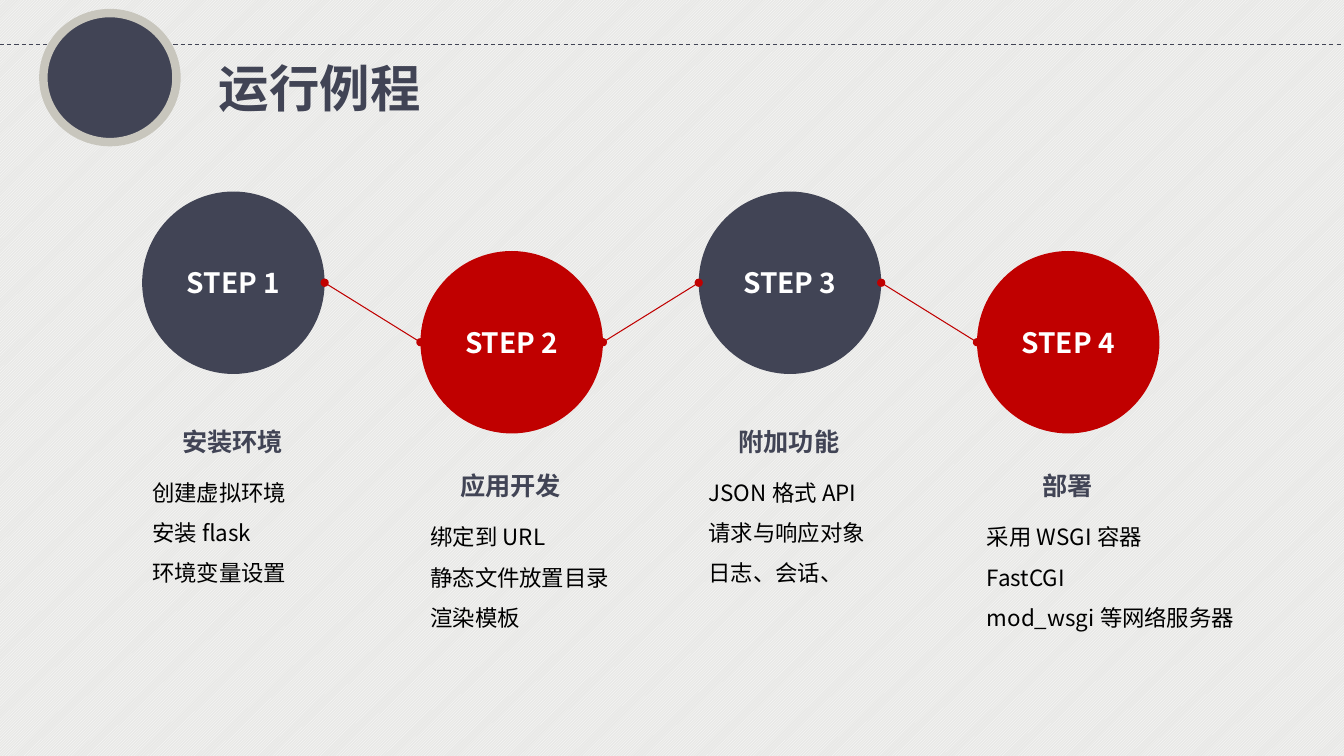
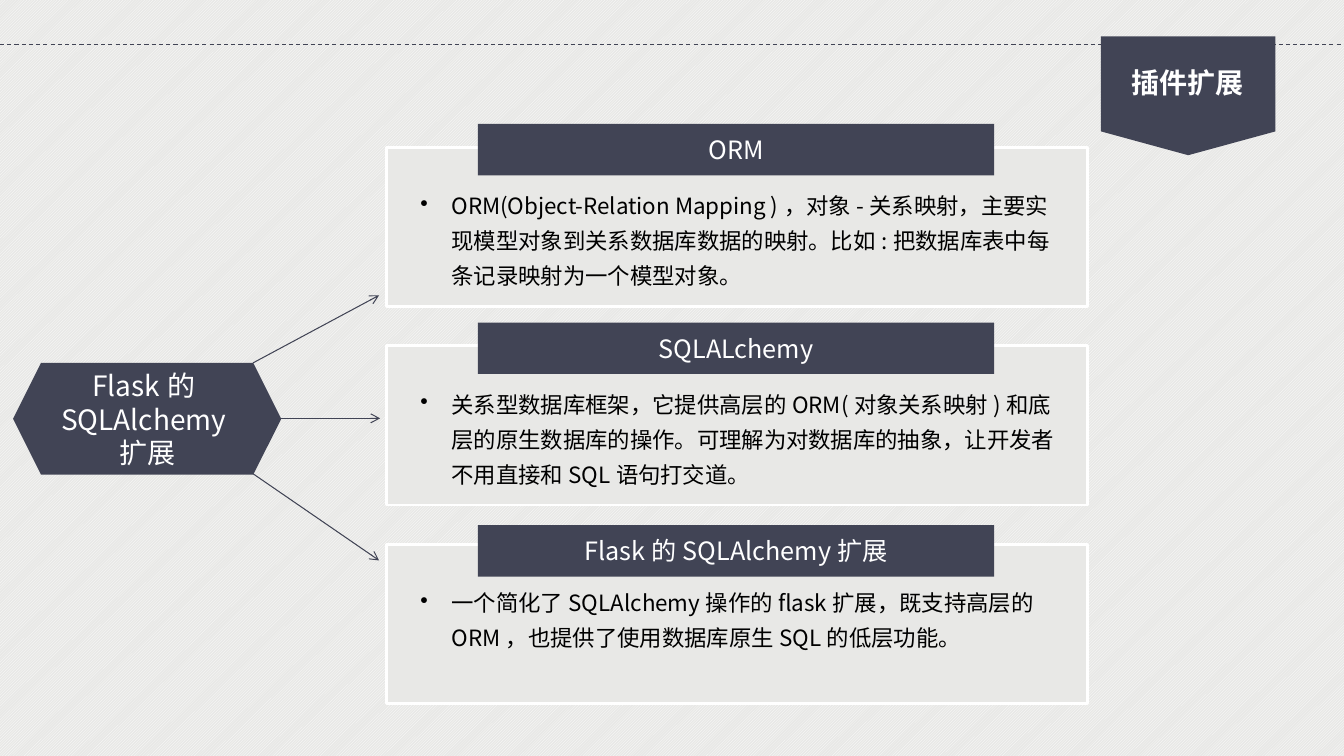
import pptx
import pptx.dml.color
import pptx.enum.dml
import pptx.enum.shapes
import pptx.enum.text
import pptx.oxml.ns
import pptx.util
from dataclasses import dataclass
from lxml import etree

Inches = pptx.util.Inches
Shape = pptx.enum.shapes.MSO_SHAPE
Align = pptx.enum.text.PP_ALIGN
Anchor = pptx.enum.text.MSO_ANCHOR
qn = pptx.oxml.ns.qn


@dataclass(frozen=True)
class Theme:
    navy: str = "414455"
    red: str = "C00000"
    stone: str = "C8C6BD"
    panel: str = "E8E8E6"
    white: str = "FFFFFF"
    black: str = "000000"
    font: str = "Noto Sans CJK SC"
    title: int = 36
    label: int = 20
    heading: int = 18
    body: int = 16
    hairline: float = 0.75


class Deck:
    """Draws slide elements in one shared style."""

    def __init__(self, theme):
        self.theme = theme
        self.prs = pptx.Presentation()
        self.prs.slide_width = Inches(13.33)
        self.prs.slide_height = Inches(7.5)
        backdrop = self.prs.slide_master.background.fill
        backdrop.patterned()
        backdrop.pattern = pptx.enum.dml.MSO_PATTERN.LIGHT_UPWARD_DIAGONAL
        backdrop.fore_color.rgb = self.rgb(theme.white)
        backdrop.back_color.rgb = self.rgb(theme.panel)

    def rgb(self, color):
        return pptx.dml.color.RGBColor.from_string(color)

    def new_slide(self):
        self.slide = self.prs.slides.add_slide(self.prs.slide_layouts[5])
        rule = self.line((0, 0.44), (13.33, 0.44), self.theme.navy)
        rule.line.dash_style = pptx.enum.dml.MSO_LINE.DASH

    def fill_text(self, frame, lines, size, color, bold=False,
                  align=Align.LEFT, anchor=Anchor.TOP, spacing=1.0,
                  bullet=False):
        frame.word_wrap = True
        frame.auto_size = pptx.enum.text.MSO_AUTO_SIZE.NONE
        frame.vertical_anchor = anchor
        for index, line in enumerate(lines):
            paragraph = frame.add_paragraph() if index else frame.paragraphs[0]
            paragraph.text = line
            paragraph.alignment = align
            paragraph.line_spacing = spacing
            font = paragraph.font
            font.name = self.theme.font
            font.size = pptx.util.Pt(size)
            font.bold = bold
            font.color.rgb = self.rgb(color)
            properties = paragraph._p.get_or_add_pPr()
            defaults = properties.find(qn("a:defRPr"))
            etree.SubElement(defaults, qn("a:ea"), typeface=self.theme.font)
            if bullet:
                properties.set("marL", str(Inches(0.31)))
                properties.set("indent", str(Inches(-0.31)))
                mark = etree.Element(qn("a:buChar"), char="•")
                defaults.addprevious(mark)

    def title(self, text, box, size, color):
        title = self.slide.shapes.title
        title.left, title.top, title.width, title.height = map(Inches, box)
        self.fill_text(title.text_frame, [text], size, color, bold=True)
        self.slide.shapes._spTree.append(title._element)

    def text(self, lines, box, size, color, **style):
        area = self.slide.shapes.add_textbox(*map(Inches, box))
        self.fill_text(area.text_frame, lines, size, color, **style)

    def shape(self, kind, box, fill, text=None, size=None, bold=False,
              outline=None, weight=0):
        shape = self.slide.shapes.add_shape(kind, *map(Inches, box))
        shape.shadow.inherit = False
        shape.fill.solid()
        shape.fill.fore_color.rgb = self.rgb(fill)
        if outline:
            shape.line.color.rgb = self.rgb(outline)
            shape.line.width = pptx.util.Pt(weight)
        else:
            shape.line.fill.background()
        if text:
            self.fill_text(shape.text_frame, [text], size, self.theme.white,
                           bold, Align.CENTER, Anchor.MIDDLE)

    def line(self, start, end, color, head=None, tail=None):
        line = self.slide.shapes.add_connector(
            pptx.enum.shapes.MSO_CONNECTOR.STRAIGHT, *map(Inches, start + end))
        line.line.color.rgb = self.rgb(color)
        line.line.width = pptx.util.Pt(self.theme.hairline)
        for tag, tip in (("a:headEnd", head), ("a:tailEnd", tail)):
            if tip:
                etree.SubElement(line.line._get_or_add_ln(), qn(tag), type=tip)
        etree.SubElement(line._element.spPr, qn("a:effectLst"))
        return line


def build_steps(deck):
    theme = deck.theme
    steps = [
        ("安装环境", ["创建虚拟环境", "安装flask", "环境变量设置"]),
        ("应用开发", ["绑定到URL", "静态文件放置目录", "渲染模板"]),
        ("附加功能", ["JSON格式API", "请求与响应对象", "日志、会话、"]),
        ("部署", ["采用WSGI容器", "FastCGI", "mod_wsgi等网络服务器"]),
    ]
    diameter, pitch = 1.81, 2.76
    deck.new_slide()
    deck.title("运行例程", (2.07, 0.52, 2.88, 0.71), theme.title, theme.navy)
    deck.shape(Shape.OVAL, (0.43, 0.13, 1.32, 1.28), theme.navy,
               outline=theme.stone, weight=6)
    previous = None
    for index, (heading, details) in enumerate(steps):
        lowered = index % 2
        left = 1.41 + pitch * index
        top = 1.9 + 0.59 * lowered
        heading_top = 4.05 + 0.44 * lowered
        middle = top + diameter / 2
        deck.shape(Shape.OVAL, (left, top, diameter, diameter),
                   theme.red if lowered else theme.navy,
                   f"STEP {index + 1}", theme.label, bold=True)
        if previous:
            deck.line(previous, (left, middle), theme.red, "oval", "oval")
        previous = (left + diameter, middle)
        deck.text([heading], (left, heading_top, 1.79, 0.5), theme.heading,
                  theme.navy, bold=True, align=Align.CENTER,
                  anchor=Anchor.MIDDLE, spacing=1.5)
        deck.text(details, (left, heading_top + 0.52, 2.75, 1.31), theme.body,
                  theme.black, spacing=1.5)


def build_extensions(deck):
    theme = deck.theme
    cards = [
        ("ORM", 1.23,
         "ORM(Object-Relation Mapping )，对象-关系映射，主要实现模型对象到关系"
         "数据库数据的映射。比如:把数据库表中每条记录映射为一个模型对象。"),
        ("SQLALchemy", 3.2,
         "关系型数据库框架，它提供高层的ORM(对象关系映射)和底层的原生数据库的"
         "操作。可理解为对数据库的抽象，让开发者不用直接和SQL语句打交道。"),
        ("Flask的SQLAlchemy扩展", 5.21,
         "一个简化了SQLAlchemy操作的flask扩展，既支持高层的ORM，也提供了使用"
         "数据库原生SQL的低层功能。"),
    ]
    deck.new_slide()
    deck.shape(Shape.FLOWCHART_OFFPAGE_CONNECTOR, (10.92, 0.36, 1.73, 1.18),
               theme.navy)
    deck.title("插件扩展", (11.12, 0.6, 1.4, 0.44), theme.label, theme.white)
    deck.shape(Shape.HEXAGON, (0.13, 3.6, 2.66, 1.11), theme.navy,
               "Flask的SQLAlchemy扩展", theme.label)
    for start, end in (((2.51, 3.6), (3.76, 2.93)),
                       ((2.79, 4.15), (3.77, 4.15)),
                       ((2.51, 4.7), (3.76, 5.56))):
        deck.line(start, end, theme.navy, tail="arrow")
    for index, (heading, banner_top, detail) in enumerate(cards):
        top = 1.46 + 1.97 * index
        deck.shape(Shape.RECTANGLE, (3.83, top, 6.96, 1.58), theme.panel,
                   outline=theme.white, weight=2)
        deck.shape(Shape.RECTANGLE, (4.74, banner_top, 5.12, 0.51), theme.navy,
                   heading, theme.heading)
        deck.text([detail], (4.07, top + 0.32, 6.61, 1.15), theme.body,
                  theme.black, spacing=1.3, bullet=True)


def main():
    deck = Deck(Theme())
    build_steps(deck)
    build_extensions(deck)
    deck.prs.save("out.pptx")


if __name__ == "__main__":
    main()
